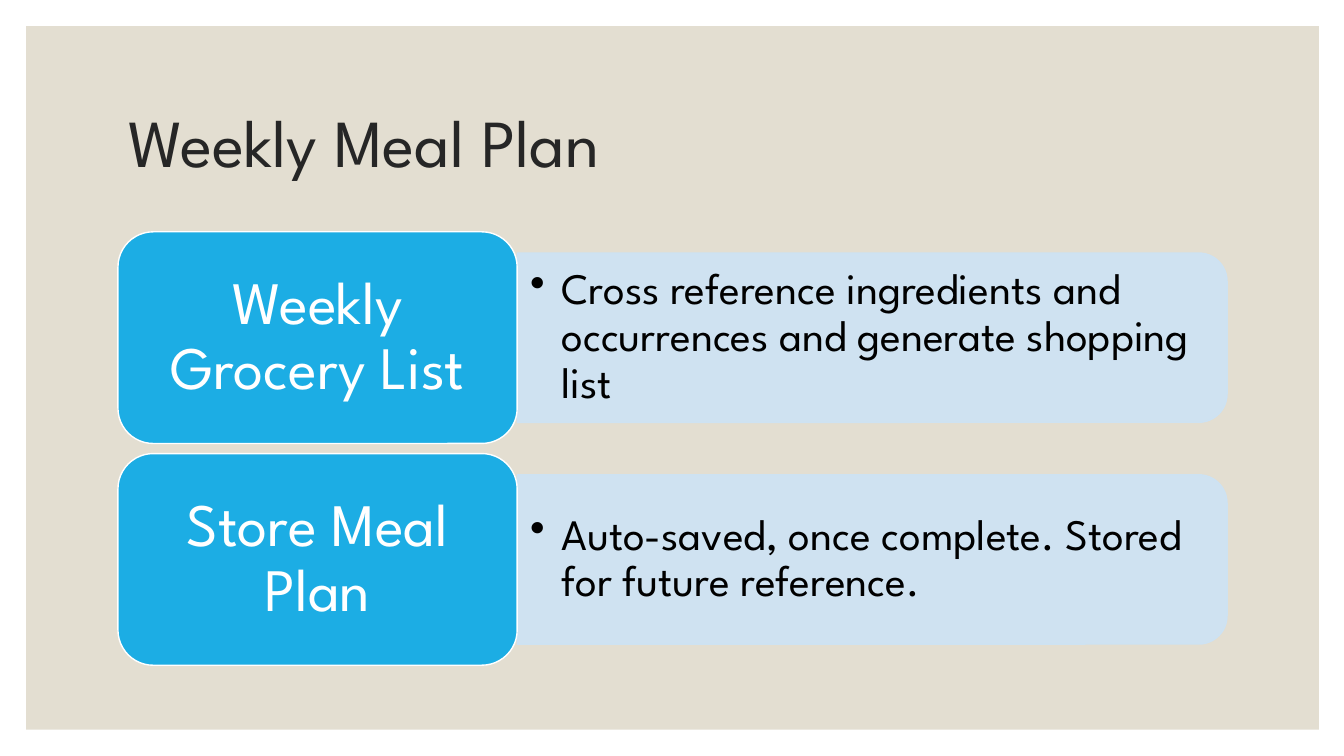
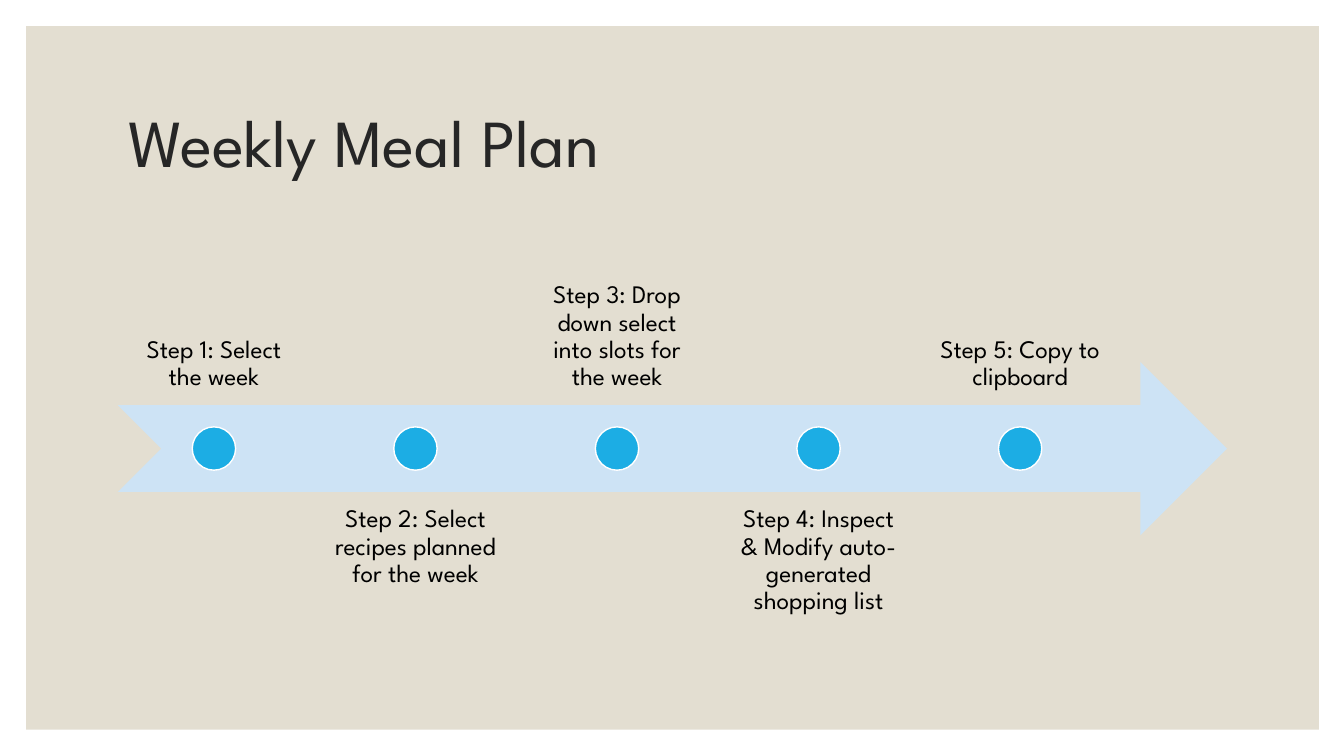
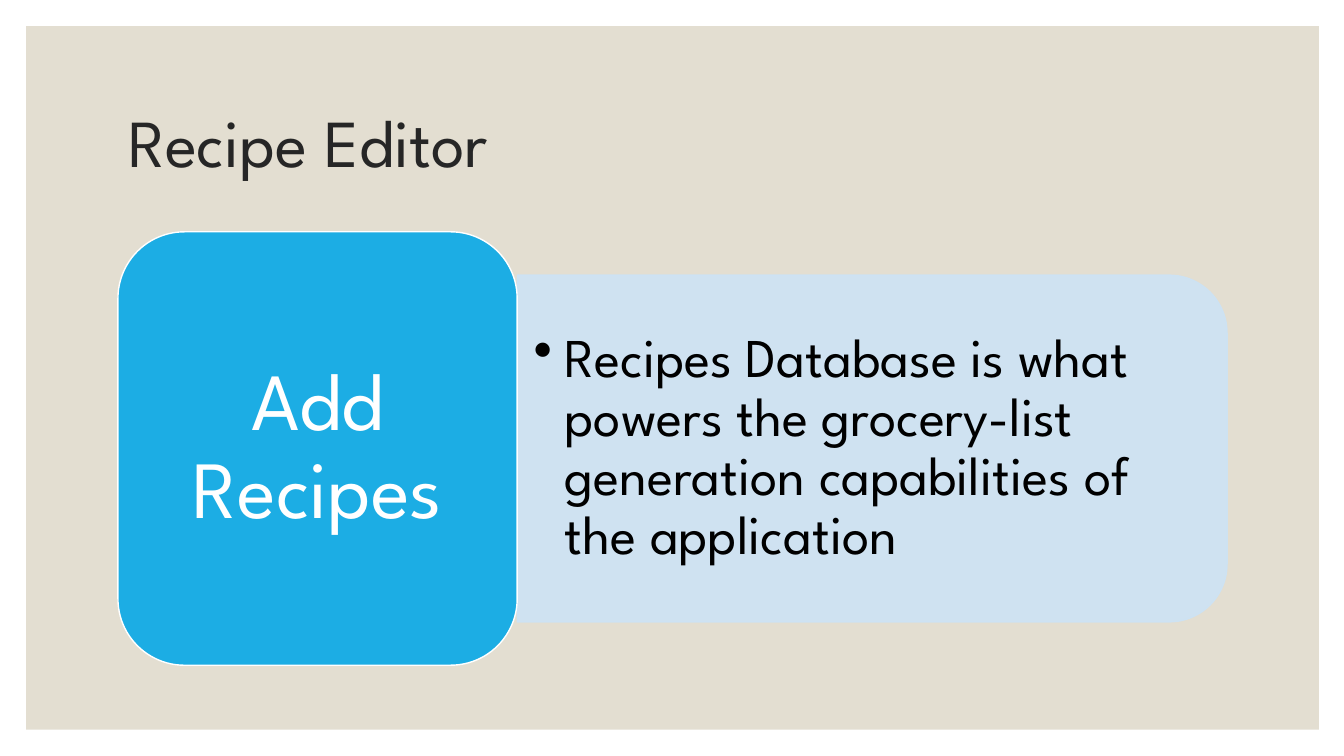
import pptx
import pptx.util
from pptx.dml.color import RGBColor
from pptx.enum.shapes import MSO_SHAPE
from pptx.enum.text import MSO_ANCHOR, MSO_AUTO_SIZE, PP_ALIGN
from pptx.oxml.ns import qn
from pptx.oxml.xmlchemy import OxmlElement

# Content
BLOCK_SLIDES = {
    "grocery": {
        "title": "Weekly Meal Plan",
        "sizes": (43, 31),
        "rows": [
            ("Weekly Grocery List",
             "Cross reference ingredients and occurrences and generate shopping list"),
            ("Store Meal Plan",
             "Auto-saved, once complete. Stored for future reference."),
        ],
    },
    "recipes": {
        "title": "Recipe Editor",
        "sizes": (58, 39),
        "rows": [
            ("Add Recipes",
             "Recipes Database is what powers the grocery-list generation "
             "capabilities of the application"),
        ],
    },
}
TIMELINE = {
    "title": "Weekly Meal Plan",
    "steps": [
        "Step 1: Select the week",
        "Step 2: Select recipes planned for the week",
        "Step 3: Drop down select into slots for the week",
        "Step 4: Inspect & Modify auto-generated shopping list",
        "Step 5: Copy to clipboard",
    ],
}

# Shared style, lengths in inches
FONT = "League Spartan"
SAND, INK, BLACK, WHITE = "E3DED1", "262626", "000000", "FFFFFF"
BLUE, PALE = "1CADE4", "CDE3F5"
WIDTH, HEIGHT = 13.33, 7.5
BAND = (0.26, 0.26, 12.82, 6.98)
TITLE = (1.17, 0.7, 11, 1.5)
LEFT, TOP, BODY_WIDTH, BODY_HEIGHT = 1.17, 2.3, 11, 4.3
ROW_GAP = 0.1
LABEL_SHARE, DETAIL_SHARE = 0.36, 0.8
CORNER_INSET = 0.049
INDENT = 0.31


def color(value):
    return RGBColor.from_string(value)


def place(shape, box):
    for name, value in zip(("left", "top", "width", "height"), box):
        setattr(shape, name, pptx.util.Inches(value))


def add_shape(slide, kind, box, fill, line=None, opacity=None):
    shape = slide.shapes.add_shape(kind, *map(pptx.util.Inches, box))
    shape.shadow.inherit = False
    shape.fill.solid()
    shape.fill.fore_color.rgb = color(fill)
    if line:
        shape.line.color.rgb = color(line)
        shape.line.width = pptx.util.Pt(1)
    else:
        shape.line.fill.background()
    if opacity:
        for element in shape._element.spPr.iter(qn("a:srgbClr")):
            alpha = OxmlElement("a:alpha")
            alpha.set("val", str(opacity * 1000))
            element.append(alpha)
    return shape


def write(shape, text, size, ink, align=PP_ALIGN.CENTER,
          anchor=MSO_ANCHOR.MIDDLE, margins=(0.1, 0.05)):
    frame = shape.text_frame
    frame.text = text
    across, down = map(pptx.util.Inches, margins)
    paragraph = frame.paragraphs[0]
    formats = (
        (frame, {"word_wrap": True, "auto_size": MSO_AUTO_SIZE.NONE,
                 "vertical_anchor": anchor,
                 "margin_left": across, "margin_right": across,
                 "margin_top": down, "margin_bottom": down}),
        (paragraph, {"alignment": align, "line_spacing": 0.9}),
        (paragraph.runs[0].font, {"name": FONT, "size": pptx.util.Pt(size)}),
    )
    for target, values in formats:
        for name, value in values.items():
            setattr(target, name, value)
    paragraph.runs[0].font.color.rgb = color(ink)
    return paragraph


def add_text(slide, box, *arguments, **options):
    shape = slide.shapes.add_textbox(*map(pptx.util.Inches, box))
    return write(shape, *arguments, **options)


def add_bullet(paragraph):
    properties = paragraph._p.get_or_add_pPr()
    indent = pptx.util.Inches(INDENT)
    properties.set("marL", str(indent))
    properties.set("indent", str(-indent))
    bullet = OxmlElement("a:buChar")
    bullet.set("char", "•")
    properties.append(bullet)


def add_band(slide, layout):
    """Put the sand panel on the layout, behind everything else."""
    band = add_shape(slide, MSO_SHAPE.RECTANGLE, BAND, SAND)
    layout.shapes._spTree.insert(2, band._element)


def add_slide(presentation, title):
    slide = presentation.slides.add_slide(presentation.slide_layouts[5])
    place(slide.shapes.title, TITLE)
    write(slide.shapes.title, title, 48, INK, align=PP_ALIGN.LEFT)
    return slide


def text_margins(size):
    return size / 240, size / 480


def add_block_rows(slide, rows, sizes):
    label_size, detail_size = sizes
    row_height = (BODY_HEIGHT - ROW_GAP * (len(rows) - 1)) / len(rows)
    label_width = BODY_WIDTH * LABEL_SHARE
    detail_left, detail_width = LEFT + label_width, BODY_WIDTH - label_width
    detail_height = row_height * DETAIL_SHARE
    inset = detail_height * CORNER_INSET
    for index, (label, detail) in enumerate(rows):
        top = TOP + index * (row_height + ROW_GAP)
        middle = top + row_height / 2

        # Detail panel: a quarter turn puts its round corners on the right
        panel_box = (detail_left + (detail_width - detail_height) / 2,
                     middle - detail_width / 2, detail_height, detail_width)
        panel = add_shape(slide, MSO_SHAPE.ROUND_2_SAME_RECTANGLE, panel_box,
                          PALE, PALE, opacity=90)
        panel.rotation = 90
        detail_box = (detail_left, middle - detail_height / 2 + inset,
                      detail_width - inset, detail_height - 2 * inset)
        add_bullet(add_text(slide, detail_box, detail, detail_size, BLACK,
                            align=PP_ALIGN.LEFT,
                            margins=text_margins(detail_size)))

        # Label block
        block = add_shape(slide, MSO_SHAPE.ROUNDED_RECTANGLE,
                          (LEFT, top, label_width, row_height), BLUE, WHITE)
        write(block, label, label_size, WHITE, margins=text_margins(label_size))


def add_timeline(slide, steps):
    band_height = BODY_HEIGHT * 0.4
    middle = TOP + BODY_HEIGHT / 2
    add_shape(slide, MSO_SHAPE.NOTCHED_RIGHT_ARROW,
              (LEFT, middle - band_height / 2, BODY_WIDTH, band_height), PALE)

    # Steps fill 90% of the arrow, with gaps of 5% of a step
    step_width = BODY_WIDTH * 0.9 / (len(steps) + 0.05 * (len(steps) - 1))
    dot = band_height / 4
    for index, step in enumerate(steps):
        left = LEFT + index * step_width * 1.05
        below = index % 2 == 1
        top = TOP + BODY_HEIGHT - band_height if below else TOP
        add_text(slide, (left, top, step_width, band_height), step, 18, BLACK,
                 anchor=MSO_ANCHOR.TOP if below else MSO_ANCHOR.BOTTOM,
                 margins=(0.14, 0.14))
        add_shape(slide, MSO_SHAPE.OVAL,
                  (left + (step_width - dot) / 2, middle - dot / 2, dot, dot),
                  BLUE, WHITE)


def main():
    presentation = pptx.Presentation()
    presentation.slide_width = pptx.util.Inches(WIDTH)
    presentation.slide_height = pptx.util.Inches(HEIGHT)

    # Grocery list
    grocery = BLOCK_SLIDES["grocery"]
    slide = add_slide(presentation, grocery["title"])
    add_band(slide, slide.slide_layout)
    add_block_rows(slide, grocery["rows"], grocery["sizes"])

    # Steps of the meal plan
    slide = add_slide(presentation, TIMELINE["title"])
    add_timeline(slide, TIMELINE["steps"])

    # Recipe editor
    recipes = BLOCK_SLIDES["recipes"]
    slide = add_slide(presentation, recipes["title"])
    add_block_rows(slide, recipes["rows"], recipes["sizes"])

    presentation.save("out.pptx")


if __name__ == "__main__":
    main()
